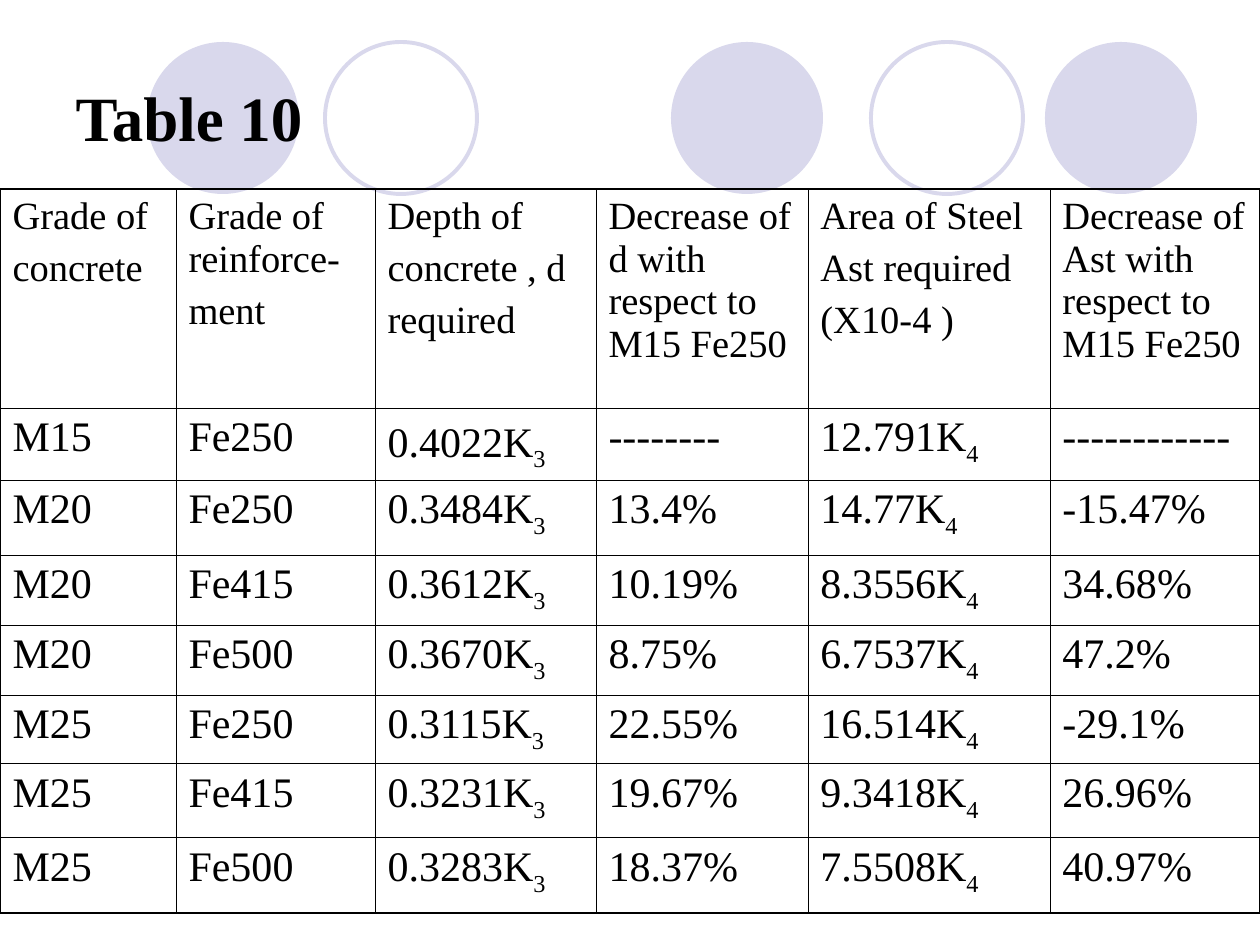
from pptx import Presentation
from pptx.dml.color import RGBColor
from pptx.enum.shapes import MSO_SHAPE
from pptx.enum.text import MSO_ANCHOR, MSO_AUTO_SIZE, PP_ALIGN
from pptx.oxml import parse_xml
from pptx.oxml.ns import nsdecls
from pptx.util import Pt

SCALE = 914400 / 126
COLORS = {"ink": "000000", "disc": "D9D8EC"}
FACE = "Times New Roman"


def px(n):
    return round(n * SCALE)


def style(font, **form):
    font.color.rgb = RGBColor.from_string(COLORS["ink"])
    for key, val in {"name": FACE, **form}.items():
        setattr(font, key, val)


deck = Presentation()
deck.slide_width, deck.slide_height = px(1260), px(945)
slide = deck.slides.add_slide(deck.slide_layouts[5])
shapes = slide.shapes

# Row of circles behind the title
tint = RGBColor.from_string(COLORS["disc"])
for left, top, solid in [(671, 42, True), (1045, 42, True), (147, 42, True),
                         (871, 42, False), (325, 42, False)]:
    disc = shapes.add_shape(MSO_SHAPE.OVAL, px(left), px(top), px(152), px(152))
    disc.shadow.inherit = False
    if solid:
        disc.fill.solid()
        disc.fill.fore_color.rgb = tint
        disc.line.fill.background()
    else:
        disc.fill.background()
        disc.line.color.rgb = tint
        disc.line.width = Pt(2.25)

# Title, moved in front of the circles
title = shapes.title
box = {"left": px(63), "top": px(38), "width": px(1134), "height": px(157)}
for key, val in box.items():
    setattr(title, key, val)
frame = title.text_frame
frame.text = "Table 10"
frame.vertical_anchor = MSO_ANCHOR.MIDDLE
frame.auto_size = MSO_AUTO_SIZE.NONE
frame.paragraphs[0].alignment = PP_ALIGN.LEFT
style(frame.paragraphs[0].runs[0].font, size=Pt(36), bold=True)
shapes._spTree.append(title._element)

# Table text: a line break starts a paragraph, "_" starts a subscript
rows = [
    ["Grade of\nconcrete", "Grade of reinforce-\nment",
     "Depth of\nconcrete , d\nrequired",
     "Decrease of d with respect to M15 Fe250",
     "Area of Steel\nAst required\n(X10-4 )",
     "Decrease of Ast with respect to M15 Fe250"],
    ["M15", "Fe250", "0.4022K_3", "--------", "12.791K_4", "------------"],
    ["M20", "Fe250", "0.3484K_3", "13.4%", "14.77K_4", "-15.47%"],
    ["M20", "Fe415", "0.3612K_3", "10.19%", "8.3556K_4", "34.68%"],
    ["M20", "Fe500", "0.3670K_3", "8.75%", "6.7537K_4", "47.2%"],
    ["M25", "Fe250", "0.3115K_3", "22.55%", "16.514K_4", "-29.1%"],
    ["M25", "Fe415", "0.3231K_3", "19.67%", "9.3418K_4", "26.96%"],
    ["M25", "Fe500", "0.3283K_3", "18.37%", "7.5508K_4", "40.97%"],
]
widths = [176, 199, 221, 212, 242, 210]
heights = [219, 72, 75, 70, 70, 69, 74, 75]

# Table grid
table = shapes.add_table(len(rows), len(widths), 0, px(189),
                         px(sum(widths)), px(sum(heights))).table
table.first_row = table.horz_banding = False
for col, width in zip(table.columns, widths):
    col.width = px(width)
for row, height in zip(table.rows, heights):
    row.height = px(height)

# Cells: the outer frame is heavier than the inner rules
for i, row in enumerate(rows):
    for j, text in enumerate(row):
        cell = table.cell(i, j)
        edges = {"L": j == 0, "R": j == len(widths) - 1,
                 "T": i == 0, "B": i == len(rows) - 1}
        for side, outer in edges.items():
            weight = Pt(1.08 if outer else 0.45)
            cell._tc.get_or_add_tcPr().append(parse_xml(
                f'<a:ln{side} {nsdecls("a")} w="{weight}"><a:solidFill>'
                f'<a:srgbClr val="{COLORS["ink"]}"/></a:solidFill></a:ln{side}>'))
        cell.fill.background()
        size = Pt(24 if i else 22)
        for n, line in enumerate(text.split("\n")):
            body = cell.text_frame
            para = body.add_paragraph() if n else body.paragraphs[0]
            if n:
                para.space_before = Pt(5.5)
            for k, part in enumerate(line.split("_")):
                run = para.add_run()
                run.text = part
                style(run.font, size=size)
                if k:
                    run._r.get_or_add_rPr().set("baseline", "-25000")

# The first depth value sits a little lower than its row
table.cell(1, 2).margin_top = px(12)

deck.save("out.pptx")
